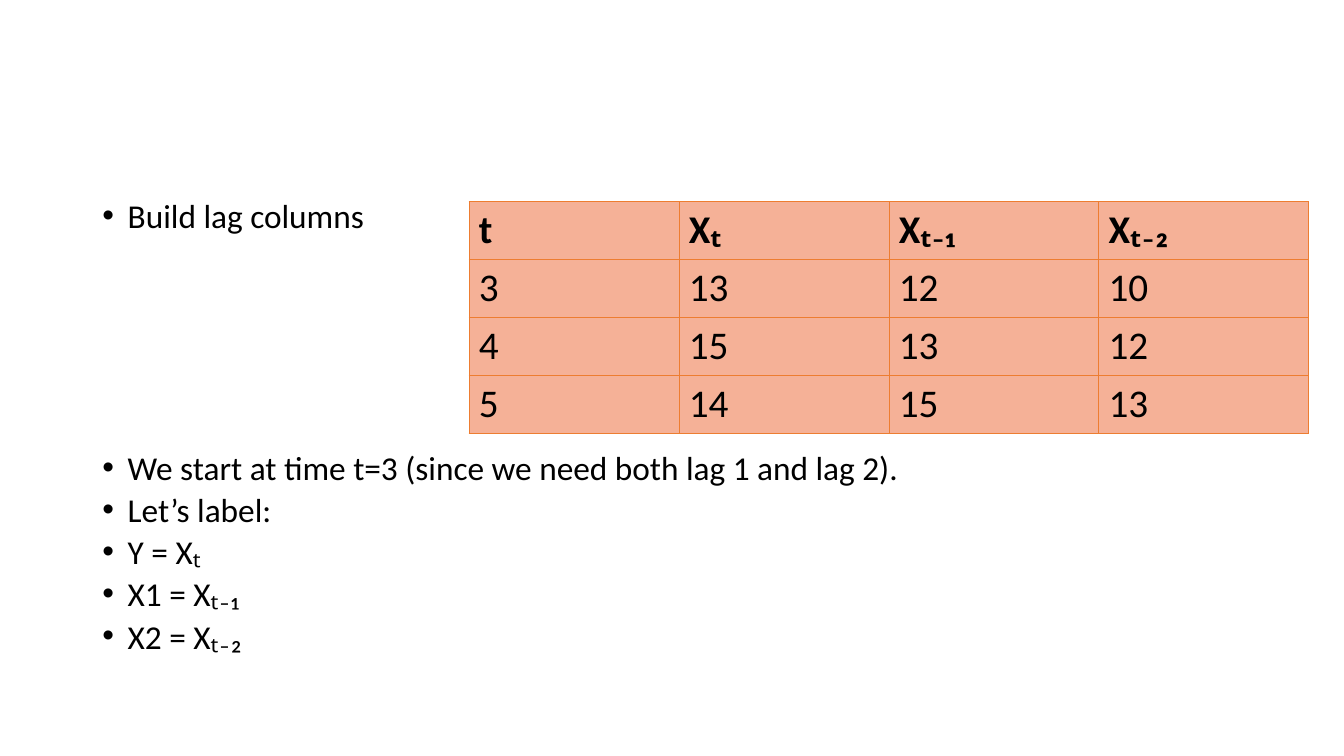
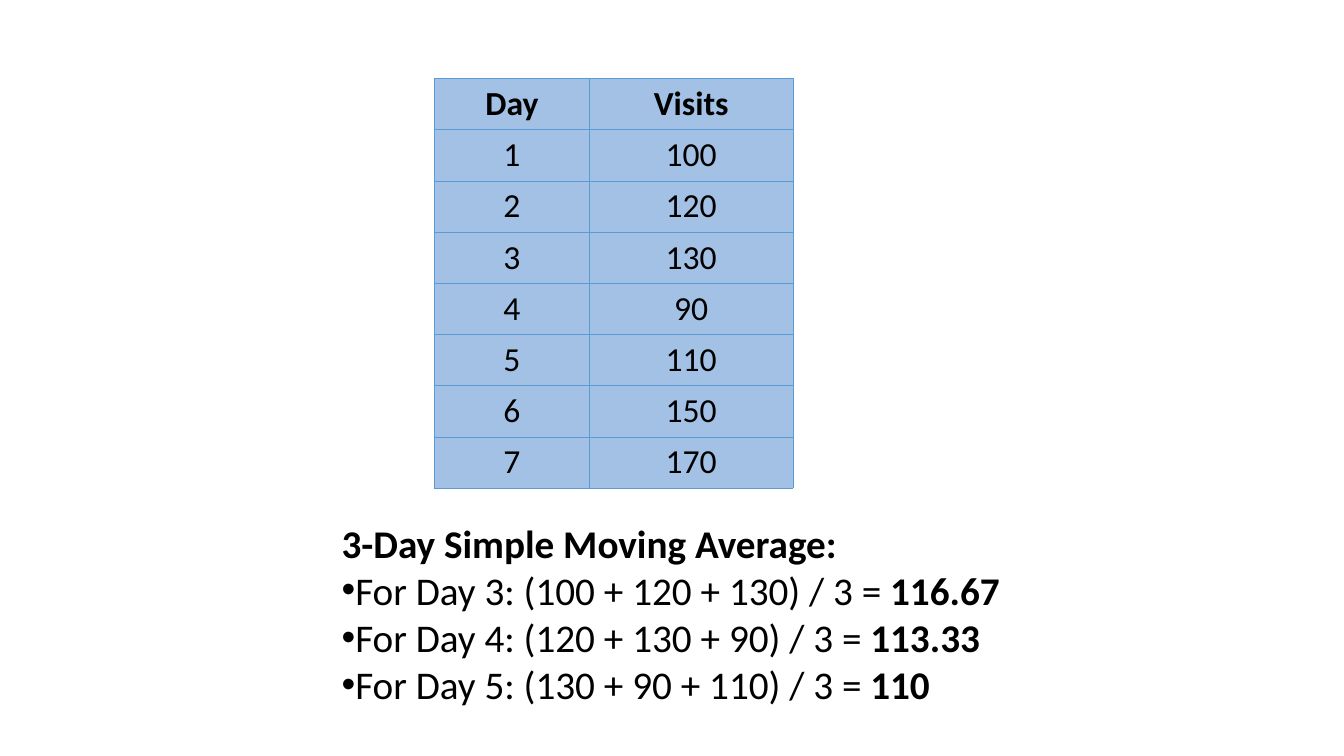
"""Build two slides on lag columns and the simple moving average."""
from pptx import Presentation
from pptx.dml.color import RGBColor as Rgb
from pptx.enum.text import MSO_ANCHOR as Anchor, PP_ALIGN as Align
from pptx.oxml.ns import qn
from pptx.util import Cm, Pt
from lxml.etree import SubElement as Sub

FONT, INK = "Calibri", "000000"

LAGS = [
    ("t", "Xₜ", "Xₜ₋₁", "Xₜ₋₂"),
    ("3", "13", "12", "10"),
    ("4", "15", "13", "12"),
    ("5", "14", "15", "13"),
]
STEPS = [
    "Build lag columns",
    "We start at time t=3 (since we need both lag 1 and lag 2).",
    "Let’s label:",
    "Y = Xₜ",
    "X1 = Xₜ₋₁",
    "X2 = Xₜ₋₂",
]
VISITS = [("Day", "Visits")] + [
    (str(day), str(count))
    for day, count in enumerate((100, 120, 130, 90, 110, 150, 170), 1)
]
HEAD = "3-Day Simple Moving Average:"
MEANS = [
    ("For Day 3: (100 + 120 + 130) / 3 = ", "116.67"),
    ("For Day 4: (120 + 130 + 90) / 3 = ", "113.33"),
    ("For Day 5: (130 + 90 + 110) / 3 = ", "110"),
]


def color(code):
    return Rgb.from_string(code)


def style(run, size, bold=False):
    font = run.font
    font.name, font.size, font.bold = FONT, Pt(size), bold
    font.color.rgb = color(INK)


def bullet(para, indent=0):
    props = para._p.get_or_add_pPr()
    props.set("marL", str(Cm(indent)))
    props.set("indent", str(-Cm(indent)))
    Sub(props, qn("a:buFont"), typeface="Arial")
    Sub(props, qn("a:buChar"), char="•")


def border(cell, code):
    props = cell._tc.get_or_add_tcPr()
    for side in ("lnL", "lnR", "lnT", "lnB"):
        line = Sub(props, qn("a:" + side), w=str(Pt(0.5)))
        Sub(Sub(line, qn("a:solidFill")), qn("a:srgbClr"), val=code)


def grid(slide, rows, left, top, widths, height, size, fill, edge,
         align=Align.LEFT, inset=0.25):
    table = slide.shapes.add_table(
        len(rows), len(widths), Cm(left), Cm(top),
        Cm(sum(widths)), Cm(height * len(rows))).table
    table.first_row = table.horz_banding = False
    for col, width in zip(table.columns, widths):
        col.width = Cm(width)
    for r, row in enumerate(rows):
        table.rows[r].height = Cm(height)
        for c, text in enumerate(row):
            cell = table.cell(r, c)
            cell.text_frame.text = text
            cell.vertical_anchor = Anchor.MIDDLE
            cell.margin_left = cell.margin_right = Cm(inset)
            para = cell.text_frame.paragraphs[0]
            para.alignment = align
            style(para.runs[0], size, r == 0)
            border(cell, edge)
            cell.fill.solid()
            cell.fill.fore_color.rgb = color(fill)


def textbox(slide, lines, left, top, width, height):
    frame = slide.shapes.add_textbox(
        Cm(left), Cm(top), Cm(width), Cm(height)).text_frame
    frame.word_wrap = True
    frame.text = "\n".join(lines)
    return frame.paragraphs


def lag_slide(slide):
    for i, para in enumerate(textbox(slide, STEPS, 2.33, 5.08, 29.21, 12.09)):
        para.line_spacing = 0.7
        para.space_before = Pt(160 if i == 1 else 10)
        bullet(para, 0.64)
        style(para.runs[0], 23.8)
    grid(slide, LAGS, 11.82, 5.08, [5.29] * 4, 1.46, 28, "F5B197", "ED7D31")


def mean_slide(slide):
    grid(slide, VISITS, 10.94, 1.98, [3.92, 5.12], 1.29, 24,
         "A3C1E5", "5B9BD5", Align.CENTER, 0.3)
    lines = [HEAD] + [text for text, mean in MEANS]
    head, *rest = textbox(slide, lines, 8.36, 12.95, 17.3, 5.05)
    style(head.runs[0], 28, True)
    for para, (text, mean) in zip(rest, MEANS):
        bullet(para)
        style(para.runs[0], 28)
        run = para.add_run()
        run.text = mean
        style(run, 28, True)


def main():
    deck = Presentation()
    deck.slide_width, deck.slide_height = Cm(33.87), Cm(19.05)
    for build in (lag_slide, mean_slide):
        build(deck.slides.add_slide(deck.slide_layouts[6]))
    deck.save("out.pptx")


if __name__ == "__main__":
    main()
